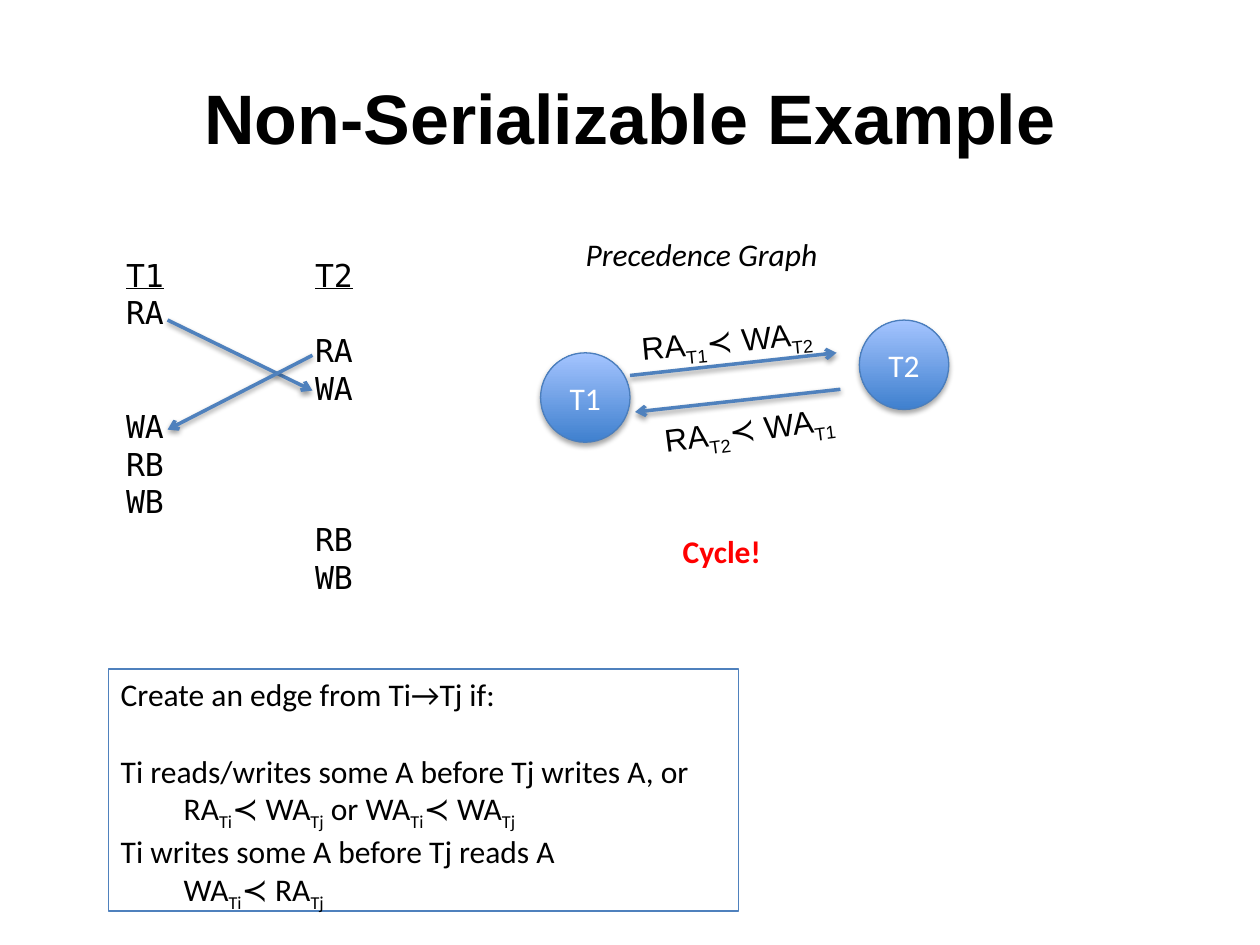
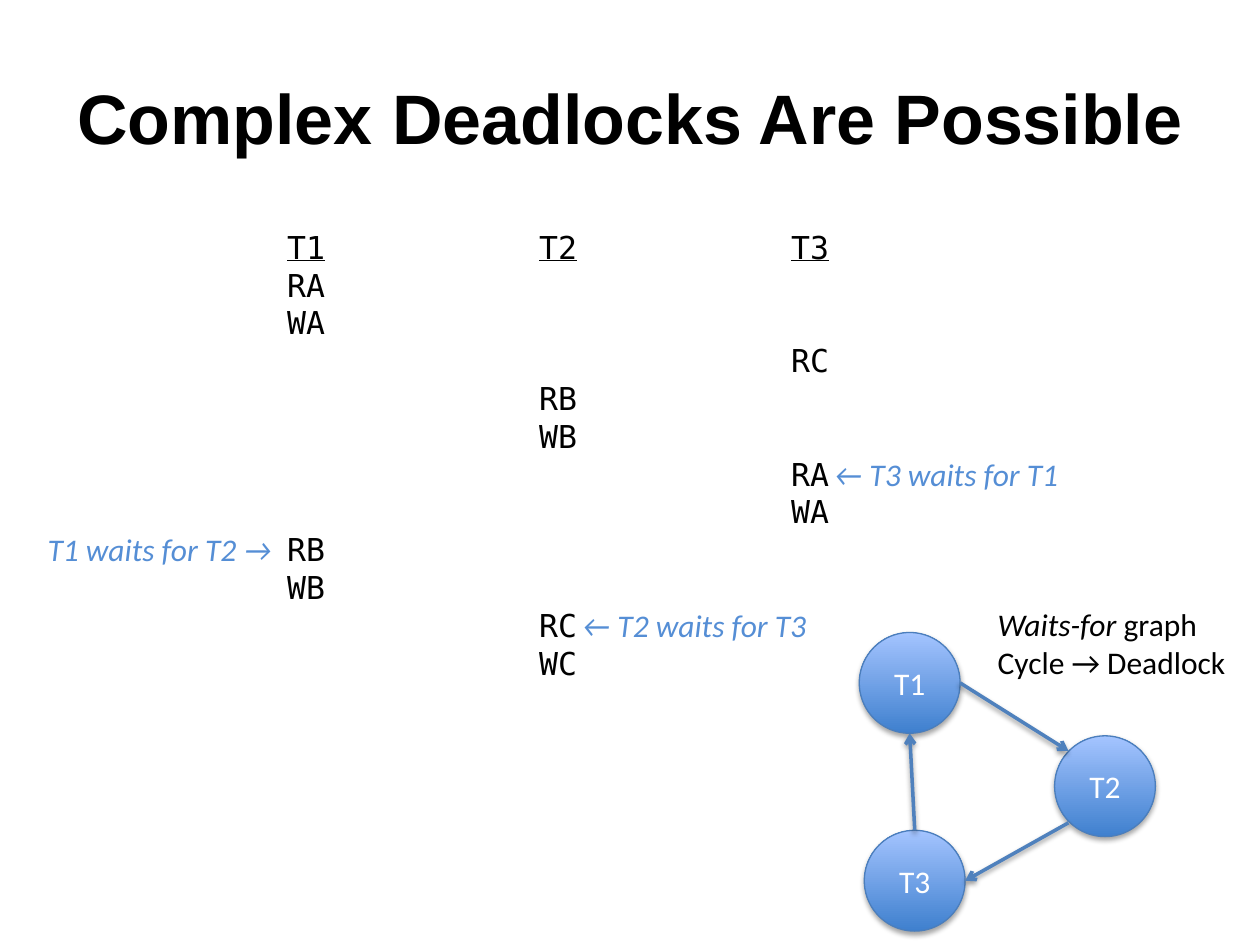
from lxml import etree
from pptx import Presentation
from pptx.dml.color import RGBColor
from pptx.enum import shapes, text
from pptx.oxml import ns
from pptx.util import Inches, Pt

BLACK, WHITE, RED = "000000", "FFFFFF", "FF0000"
EDGE_BLUE, NODE_LINE, NOTE_BLUE = "4F81BD", "4B7EBC", "558ED5"
NODE_BOTTOM, NODE_TOP = "3F80CE", "A4C4FF"
TITLE_FONT, BODY_FONT, CODE_FONT = "Arial", "Calibri", "DejaVu Sans Mono"
ROW_HEIGHT = 0.3
SCHEDULE_INDENT = 0.6
SUBSCRIPT = "-25000"


def rgb(hex_color):
    return RGBColor.from_string(hex_color)


def add_xml(parent, tag, **attributes):
    return etree.SubElement(parent, ns.qn(tag), attributes)


def style_runs(paragraph, font=BODY_FONT, size=18, color=BLACK, bold=False, italic=False):
    for run in paragraph.runs:
        run.font.name, run.font.size = font, Pt(size)
        run.font.bold, run.font.italic = bold, italic
        run.font.color.rgb = rgb(color)


def write_formula(paragraph, formula, **style):
    """Write text whose every second piece, split at |, is a subscript."""
    for index, piece in enumerate(formula.split("|")):
        run = paragraph.add_run()
        run.text = piece
        if index % 2:
            run.font._element.set("baseline", SUBSCRIPT)
    style_runs(paragraph, **style)


def paragraphs_for(text_frame, count):
    return [text_frame.paragraphs[0]] + [text_frame.add_paragraph() for _ in range(count - 1)]


def add_text(slide, left, top, width, height, lines, **style):
    box = slide.shapes.add_textbox(Inches(left), Inches(top), Inches(width), Inches(height))
    box.text_frame.word_wrap = True
    for paragraph, line in zip(paragraphs_for(box.text_frame, len(lines)), lines):
        write_formula(paragraph, line, **style)
    return box


def add_shadow(shape, opacity, distance):
    effects = add_xml(shape._element.spPr, "a:effectLst")
    shadow = add_xml(effects, "a:outerShdw", blurRad=str(Pt(3.1)), dist=str(Pt(distance)),
                     dir="5400000", rotWithShape="0")
    color = add_xml(shadow, "a:srgbClr", val=BLACK)
    add_xml(color, "a:alpha", val=str(opacity * 1000))


def add_arrow(slide, start, end):
    points = [Inches(value) for value in (*start, *end)]
    arrow = slide.shapes.add_connector(shapes.MSO_CONNECTOR.STRAIGHT, *points)
    arrow.line.color.rgb = rgb(EDGE_BLUE)
    arrow.line.width = Pt(2)
    add_xml(arrow.line._get_or_add_ln(), "a:tailEnd", type="arrow")
    add_shadow(arrow, 38, 1.6)


def add_node(slide, left, top, diameter, name):
    node = slide.shapes.add_shape(shapes.MSO_SHAPE.OVAL, Inches(left), Inches(top),
                                  Inches(diameter), Inches(diameter))
    node.fill.gradient()
    node.fill.gradient_angle = 90
    for stop, color, position in zip(node.fill.gradient_stops, (NODE_BOTTOM, NODE_TOP), (0, 1)):
        stop.color.rgb = rgb(color)
        stop.position = position
    node.line.color.rgb = rgb(NODE_LINE)
    node.line.width = Pt(0.75)
    add_shadow(node, 35, 1.8)
    node.text_frame.text = name
    node.text_frame.vertical_anchor = text.MSO_ANCHOR.MIDDLE
    paragraph = node.text_frame.paragraphs[0]
    paragraph.alignment = text.PP_ALIGN.CENTER
    style_runs(paragraph, color=WHITE)


def add_schedule(slide, left, top, width, height, column_gap, transactions, steps):
    """Write one step a row, each (column, operation), under underlined transaction names."""
    panel = slide.shapes.add_shape(shapes.MSO_SHAPE.RECTANGLE, Inches(left), Inches(top),
                                   Inches(width), Inches(height))
    panel.shadow.inherit = False
    panel.fill.solid()
    panel.fill.fore_color.rgb = rgb(WHITE)
    panel.line.fill.background()
    frame = panel.text_frame
    frame.word_wrap = True
    frame.margin_left = Inches(SCHEDULE_INDENT)
    frame.vertical_anchor = text.MSO_ANCHOR.TOP
    header, *rows = paragraphs_for(frame, len(steps) + 1)
    for column, name in enumerate(transactions):
        if column:
            header.add_run().text = "\t"
        run = header.add_run()
        run.text = name
        run.font.underline = True
    for row, (column, operation) in zip(rows, steps):
        row.text = "\t" * column + operation
    for paragraph in (header, *rows):
        paragraph.alignment = text.PP_ALIGN.LEFT
        tabs = add_xml(paragraph._p.get_or_add_pPr(), "a:tabLst")
        for column in range(1, len(transactions)):
            add_xml(tabs, "a:tab", pos=str(Inches(column * column_gap)), algn="l")
        style_runs(paragraph, font=CODE_FONT)


def add_titled_slide(presentation, title):
    slide = presentation.slides.add_slide(presentation.slide_layouts[5])
    shape = slide.shapes.title
    shape.left, shape.top, shape.width, shape.height = map(Inches, (0.5, 0.3, 9, 1.25))
    shape.text_frame.text = title
    shape.text_frame.vertical_anchor = text.MSO_ANCHOR.MIDDLE
    paragraph = shape.text_frame.paragraphs[0]
    paragraph.alignment = text.PP_ALIGN.CENTER
    style_runs(paragraph, font=TITLE_FONT, size=40, bold=True)
    return slide


def add_conflicting_schedule(slide, left, top):
    steps = [(0, "RA"), (1, "RA"), (1, "WA"), (0, "WA"), (0, "RB"), (0, "WB"),
             (1, "RB"), (1, "WB")]
    add_schedule(slide, left, top, 2.75, 3.74, 1.5, ("T1", "T2"), steps)
    first_edge, second_edge = left + 0.93, left + 2.08
    add_arrow(slide, (first_edge, top + 0.56), (second_edge, top + 1.12))
    add_arrow(slide, (second_edge, top + 0.84), (first_edge, top + 1.43))


def add_precedence_graph(slide, left, top):
    add_text(slide, left + 0.26, top, 2.13, 0.4, ["Precedence Graph"], italic=True)
    add_node(slide, left, top + 0.98, 0.71, "T1")
    add_node(slide, left + 2.53, top + 0.72, 0.71, "T2")
    add_arrow(slide, (left + 0.71, top + 1.16), (left + 2.35, top + 0.98))
    add_arrow(slide, (left + 2.38, top + 1.27), (left + 0.75, top + 1.45))
    for x, y, width, angle, label in ((0.7, 0.67, 1.78, 354.7, "RA|T1|≺ WA|T2"),
                                      (0.88, 1.38, 1.63, 352.7, "RA|T2|≺ WA|T1")):
        box = add_text(slide, left + x, top + y, width, 0.4, [label], font=TITLE_FONT)
        box.rotation = angle
    add_text(slide, left + 1.03, top + 2.35, 1.36, 0.4, ["Cycle!"], color=RED, bold=True)


def add_edge_rules(slide, left, top):
    box = add_text(slide, left, top, 5, 1.92, [
        "Create an edge from Ti→Tj if:",
        "Ti reads/writes some A before Tj writes A, or",
        "RA|Ti|≺ WA|Tj| or WA|Ti|≺ WA|Tj",
        "Ti writes some A before Tj reads A",
        "WA|Ti|≺ RA|Tj",
    ])
    box.line.color.rgb = rgb(EDGE_BLUE)
    box.line.width = Pt(0.75)
    paragraphs = box.text_frame.paragraphs
    paragraphs[0].space_after = Pt(22)
    for formula in (paragraphs[2], paragraphs[4]):
        formula._p.get_or_add_pPr().set("marL", str(Inches(0.5)))


def add_deadlocked_schedule(slide, left, top):
    steps = [(0, "RA"), (0, "WA"), (2, "RC"), (1, "RB"), (1, "WB"), (2, "RA"),
             (2, "WA"), (0, "RB"), (0, "WB"), (1, "RC"), (1, "WC")]
    column_gap = 2
    add_schedule(slide, left, top, 8.14, 4.34, column_gap, ("T1", "T2", "T3"), steps)
    for column, row, offset, note in ((0, 8, -2, "T1 waits for T2 →"),
                                      (1, 10, 0.24, "← T2 waits for T3"),
                                      (2, 6, 0.24, "← T3 waits for T1")):
        x = left + SCHEDULE_INDENT + column * column_gap + offset
        add_text(slide, x, top + row * ROW_HEIGHT, 2.1, 0.4, [note],
                 color=NOTE_BLUE, italic=True)


def add_waits_for_graph(slide, left, top):
    for name, x, y in (("T1", 0, 0.27), ("T2", 1.55, 1.09), ("T3", 0.04, 1.84)):
        add_node(slide, left + x, top + y, 0.8, name)
    for start, end in (((0.8, 0.67), (1.66, 1.21)), ((1.66, 1.78), (0.84, 2.24)),
                       ((0.44, 1.84), (0.4, 1.07))):
        add_arrow(slide, (left + start[0], top + start[1]), (left + end[0], top + end[1]))
    caption = add_text(slide, left + 1, top, 2.1, 0.71, ["", "Cycle → Deadlock"])
    heading = caption.text_frame.paragraphs[0]
    heading.runs[0].text = "Waits-for "
    heading.add_run().text = "graph"
    style_runs(heading)
    heading.runs[0].font.italic = True


def main():
    presentation = Presentation()
    presentation.slide_width, presentation.slide_height = Inches(10), Inches(7.5)

    slide = add_titled_slide(presentation, "Non-Serializable Example")
    add_conflicting_schedule(slide, 0.4, 1.98)
    add_precedence_graph(slide, 4.29, 1.82)
    add_edge_rules(slide, 0.86, 5.31)

    slide = add_titled_slide(presentation, "Complex Deadlocks Are Possible")
    add_deadlocked_schedule(slide, 1.68, 1.76)
    add_waits_for_graph(slide, 6.82, 4.75)

    presentation.save("out.pptx")


if __name__ == "__main__":
    main()
